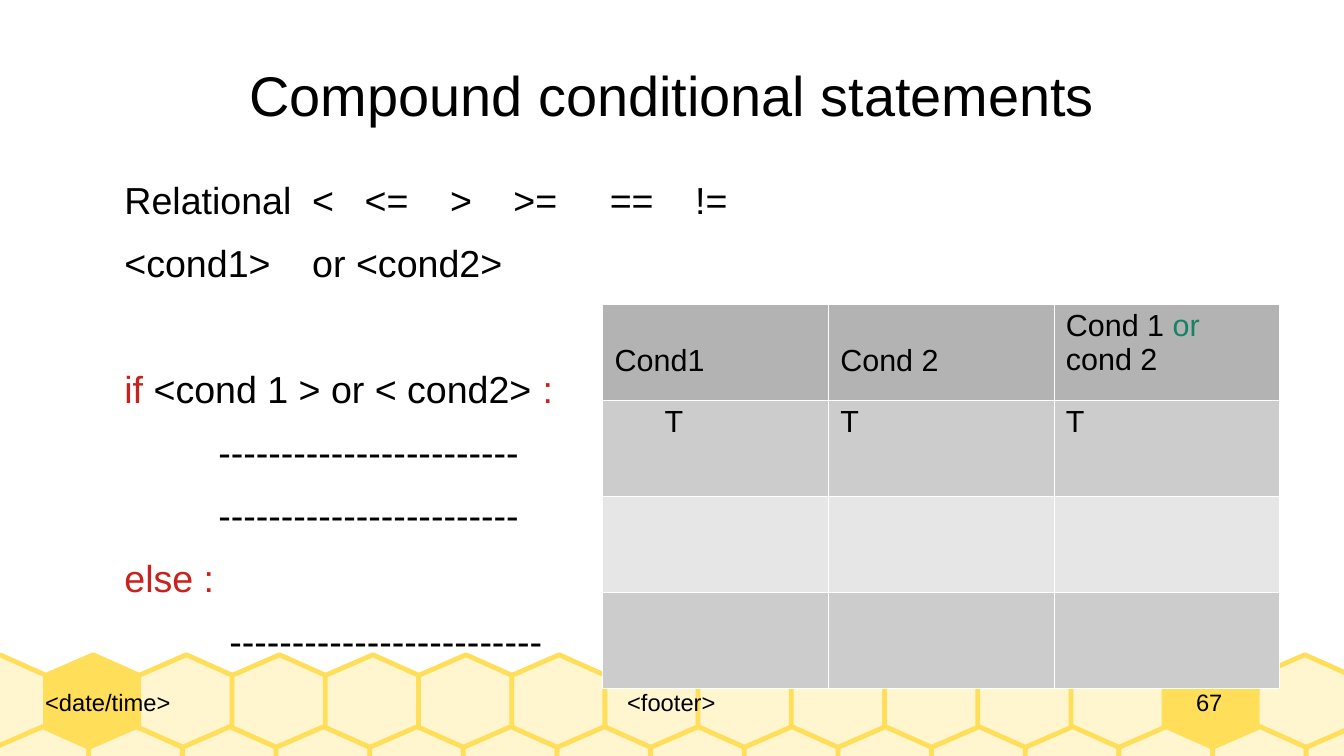
from pptx import Presentation
from pptx import util as u
from pptx.dml.color import RGBColor
from pptx.enum import text
from pptx.oxml import parse_xml
from pptx.oxml.ns import nsdecls
from dataclasses import dataclass


@dataclass(frozen=True)
class Theme:
    font: str = "Arial"
    title_size: float = 33
    body_size: float = 22.2
    table_size: float = 18
    footer_size: float = 14
    ink: str = "000000"
    keyword: str = "C9211E"
    operator: str = "158466"
    cell_edge: str = "FFFFFF"
    honey: str = "FFDE59"
    honey_light: str = "FFF5CE"
    table_rows: tuple = ("B3B3B3", "CCCCCC", "E6E6E6", "CCCCCC")


THEME = Theme()
LEFT, CENTER = text.PP_ALIGN.LEFT, text.PP_ALIGN.CENTER

# Content: each line is a list of (words, colour) spans
TITLE = "Compound conditional statements"
DASH_INDENT = 0.77
TAB_STOPS = (1.54, 1.97, 2.67, 3.19, 3.98, 4.68)
BODY = [  # spans, left indent in inches, space before in points
    ([("Relational\t<\t<=\t>\t>=\t==\t!=", THEME.ink)], 0, 0),
    ([("<cond1>\tor <cond2>", THEME.ink)], 0, 0),
    ([("if ", THEME.keyword), ("<cond 1 > or < cond2> ", THEME.ink),
      (":", THEME.keyword)], 0, 37.2),
    ([("-" * 24, THEME.ink)], DASH_INDENT, 0),
    ([("-" * 24, THEME.ink)], DASH_INDENT, 0),
    ([("else :", THEME.keyword)], 0, 0),
    ([("-" * 25, THEME.ink)], DASH_INDENT + 0.09, 0),
]
TABLE = [
    [[("Cond1", THEME.ink)], [("Cond 2", THEME.ink)],
     [("Cond 1", THEME.ink), (" or", THEME.operator), (" cond 2", THEME.ink)]],
    [[("T", THEME.ink)], [("T", THEME.ink)], [("T", THEME.ink)]],
    [[], [], []],
    [[], [], []],
]
FOOTERS = [  # words, left, width, alignment
    ("<date/time>", 0.37, 2.63, LEFT),
    ("<footer>", 3, 5.01, CENTER),
    ("67", 9.29, 1.25, CENTER),
]
HEXAGON_ROWS = [  # first left, last left, top, dark positions
    (-0.39, 10.31, 5.37, (1, 13)),
    (-0.04, 10.71, 5.96, ()),
]
HEXAGONS_PER_ROW = 15
HEXAGON = [(0.39, 0), (0, 0.17), (0, 0.6), (0.39, 0.77), (0.77, 0.6), (0.77, 0.17)]


def color(code):
    return RGBColor.from_string(code)


def fill_para(para, spans, size, align=LEFT):
    para.alignment = align
    para.font.name = THEME.font
    para.font.size = u.Pt(size)
    for words, ink in spans:
        span = para.add_run()
        span.text = words
        span.font.color.rgb = color(ink)


def add_box(page, left, top, width, height, anchor):
    box = page.shapes.add_textbox(*map(u.Inches, (left, top, width, height)))
    frame = box.text_frame
    frame.word_wrap = True
    frame.vertical_anchor = anchor
    frame.margin_left = frame.margin_right = 0
    frame.margin_top = frame.margin_bottom = 0
    return frame


def add_hexagon(page, left, top, fill):
    points = [(u.Inches(left + x), u.Inches(top + y)) for x, y in HEXAGON]
    builder = page.shapes.build_freeform(*points[0])
    builder.add_line_segments(points[1:], close=True)
    shape = builder.convert_to_shape()
    shape.shadow.inherit = False
    shape.fill.solid()
    shape.fill.fore_color.rgb = color(fill)
    shape.line.color.rgb = color(THEME.honey)
    shape.line.width = u.Pt(2.83)


def add_honeycomb(page):
    for first, last, top, dark in HEXAGON_ROWS:
        pitch = (last - first) / (HEXAGONS_PER_ROW - 1)
        for i in range(HEXAGONS_PER_ROW):
            fill = THEME.honey if i in dark else THEME.honey_light
            add_hexagon(page, first + i * pitch, top, fill)


def add_body(page):
    frame = add_box(page, 1.02, 1.45, 9.45, 3.6, text.MSO_ANCHOR.TOP)
    for i, (spans, indent, before) in enumerate(BODY):
        para = frame.paragraphs[0] if i == 0 else frame.add_paragraph()
        props = para._p.get_or_add_pPr()
        if indent:
            props.set("marL", str(u.Inches(indent)))
        para.space_after = u.Pt(10.6)
        if before:
            para.space_before = u.Pt(before)
        if "\t" in spans[0][0]:
            stops = "".join(f'<a:tab pos="{u.Inches(stop)}" algn="l"/>' for stop in TAB_STOPS)
            props.append(parse_xml(f'<a:tabLst {nsdecls("a")}>{stops}</a:tabLst>'))
        fill_para(para, spans, THEME.body_size)


def style_cell(cell, fill):
    props = cell._tc.get_or_add_tcPr()
    for side in ("lnL", "lnR", "lnT", "lnB"):
        props.append(parse_xml(
            f'<a:{side} {nsdecls("a")} w="762"><a:solidFill>'
            f'<a:srgbClr val="{THEME.cell_edge}"/></a:solidFill></a:{side}>'))
    cell.fill.solid()
    cell.fill.fore_color.rgb = color(fill)


def add_truth_table(page):
    size = map(u.Inches, (4.94, 2.49, 5.55, 3.15))
    table = page.shapes.add_table(len(TABLE), len(TABLE[0]), *size).table
    for r, row in enumerate(TABLE):
        for c, spans in enumerate(row):
            cell = table.cell(r, c)
            style_cell(cell, THEME.table_rows[r])
            cell.margin_top = u.Inches(0.04)
            para = cell.text_frame.paragraphs[0]
            fill_para(para, spans, THEME.table_size)
            if r == 0:
                para.font.bold = False
    # Short headings sit on the second line; the first T is indented
    for c in (0, 1):
        table.cell(0, c).margin_top = u.Inches(0.33)
    table.cell(1, 0).margin_left = u.Inches(0.51)


def main():
    deck = Presentation()
    deck.slide_width, deck.slide_height = u.Inches(11.02), u.Inches(6.2)
    page = deck.slides.add_slide(deck.slide_layouts[6])

    # Honeycomb band and footer
    add_honeycomb(page)
    middle = text.MSO_ANCHOR.MIDDLE
    for words, left, width, align in FOOTERS:
        frame = add_box(page, left, 5.37, width, 0.77, middle)
        fill_para(frame.paragraphs[0], [(words, THEME.ink)], THEME.footer_size, align)

    # Title, statements and truth table
    frame = add_box(page, 0.55, 0.25, 9.92, 1.04, middle)
    fill_para(frame.paragraphs[0], [(TITLE, THEME.ink)], THEME.title_size, CENTER)
    add_body(page)
    add_truth_table(page)

    deck.save("out.pptx")


if __name__ == "__main__":
    main()
